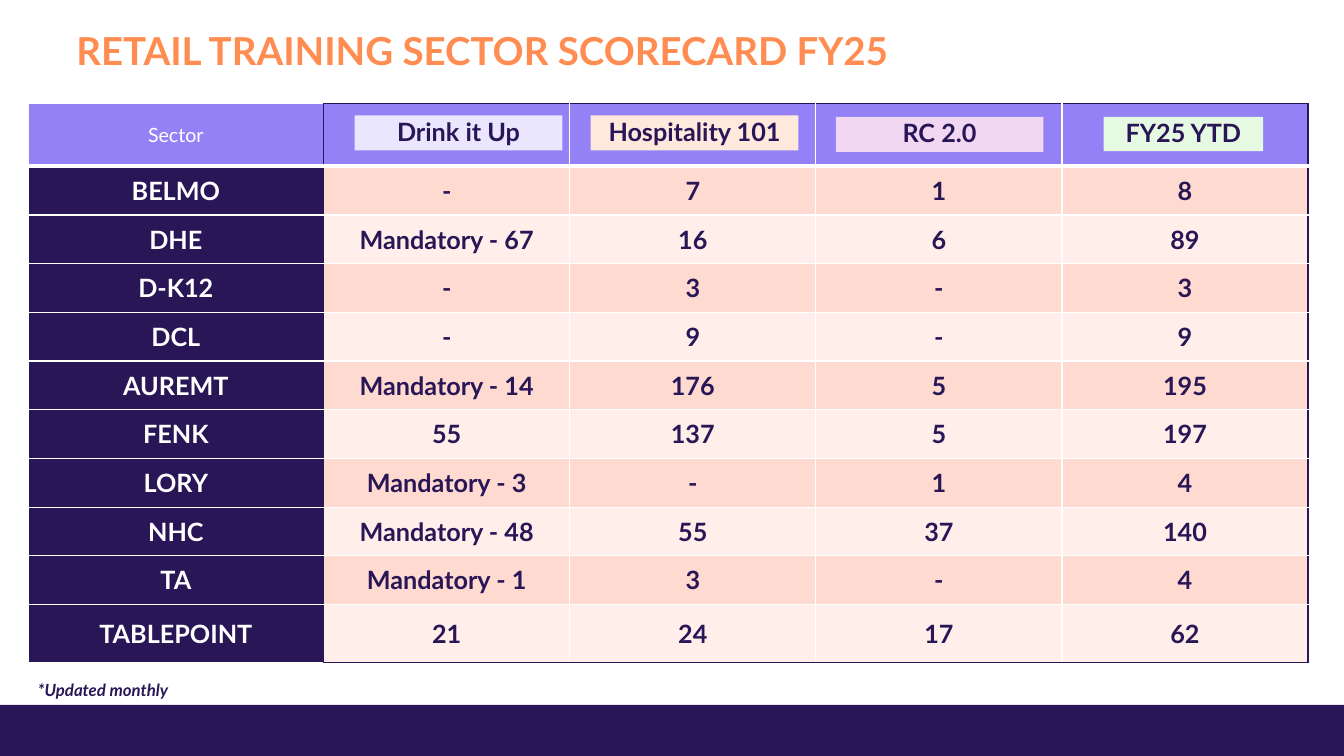
from lxml.etree import SubElement
from pptx import Presentation
from pptx.dml.color import RGBColor
from pptx.enum.shapes import MSO_SHAPE as Shape
from pptx.enum.text import MSO_ANCHOR as Anchor, PP_ALIGN as Align
from pptx.oxml.ns import qn
from pptx.util import Pt

TITLE = "RETAIL TRAINING SECTOR SCORECARD FY25"
FOOTNOTE = "*Updated monthly"
SECTOR_HEADER = "Sector"
SCORES = [
    ("BELMO", "-", "7", "1", "8"),
    ("DHE", "Mandatory - 67", "16", "6", "89"),
    ("D-K12", "-", "3", "-", "3"),
    ("DCL", "-", "9", "-", "9"),
    ("AUREMT", "Mandatory - 14", "176", "5", "195"),
    ("FENK", "55", "137", "5", "197"),
    ("LORY", "Mandatory - 3", "-", "1", "4"),
    ("NHC", "Mandatory - 48", "55", "37", "140"),
    ("TA", "Mandatory - 1", "3", "-", "4"),
    ("TABLEPOINT", "21", "24", "17", "62"),
]
# Label, fill, left, top, width, height
COURSE_LABELS = [
    ("Hospitality 101", "peach", 422, 82.5, 148.3, 25),
    ("Drink it Up", "lilac", 253.4, 82.5, 148.3, 25),
    ("RC 2.0", "orchid", 597, 83.5, 148.3, 25),
    ("FY25 YTD", "mint", 788.4, 83.5, 113.8, 24.5),
]
COLORS = {
    "navy": "281656", "white": "FFFFFF", "orange": "FF8C51", "violet": "9381F5",
    "band_dark": "FFDAD0", "band_light": "FFEEE9",
    "peach": "FFE8DC", "lilac": "E9E6FD", "orchid": "F1D7F2", "mint": "E6F9E2",
}
SLIDE_WIDTH, SLIDE_HEIGHT = 960, 540
FOOTER_TOP = 503.5
TABLE_LEFT, TABLE_TOP = 20, 74.2
COLUMN_WIDTHS = [211.2] + [175.8] * 4
ROW_HEIGHTS = [44.6] + [34.8] * 9 + [41.6]
LAST_ROW, LAST_COLUMN = len(ROW_HEIGHTS) - 1, len(COLUMN_WIDTHS) - 1


def rgb(name):
    return RGBColor.from_string(COLORS[name])


def write(frame, text, color, align=Align.CENTER, line_spacing=None, **font_values):
    paragraph = frame.paragraphs[0]
    paragraph.alignment = align
    paragraph.line_spacing = line_spacing
    run = paragraph.add_run()
    run.text = text
    run.font.color.rgb = rgb(color)
    for name, value in {"name": "Lato", "size": Pt(18), "bold": True, **font_values}.items():
        setattr(run.font, name, value)


def add_box(slide, fill, *bounds):
    box = slide.shapes.add_shape(Shape.RECTANGLE, *map(Pt, bounds))
    box.shadow.inherit = False
    box.fill.solid()
    box.fill.fore_color.rgb = rgb(fill)
    box.line.fill.background()
    return box


def add_text(slide, text, color, bounds, anchor, **format_values):
    frame = slide.shapes.add_textbox(*map(Pt, bounds)).text_frame
    frame.word_wrap = True
    frame.vertical_anchor = anchor
    write(frame, text, color, align=Align.LEFT, **format_values)


def add_borders(cell, row, column):
    """Frame the score area in navy and rule everything else in white."""
    in_scores = column > 0
    navy_sides = {
        "L": column == 1,
        "R": column in (0, LAST_COLUMN),
        "T": in_scores and row == 0,
        "B": in_scores and row == LAST_ROW,
    }
    properties = cell._tc.get_or_add_tcPr()
    for side, is_navy in navy_sides.items():
        width = 3 if side == "B" and row == 0 else 1
        line = SubElement(properties, qn(f"a:ln{side}"), w=str(Pt(width)))
        fill = SubElement(line, qn("a:solidFill"))
        SubElement(fill, qn("a:srgbClr"), val=COLORS["navy" if is_navy else "white"])


def cell_fill(row, column):
    if row == 0:
        return "violet"
    if column == 0:
        return "navy"
    return "band_dark" if row % 2 else "band_light"


def add_scorecard(slide):
    bounds = TABLE_LEFT, TABLE_TOP, sum(COLUMN_WIDTHS), sum(ROW_HEIGHTS)
    table = slide.shapes.add_table(
        len(ROW_HEIGHTS), len(COLUMN_WIDTHS), *map(Pt, bounds)).table
    table.horz_banding = False
    for column, width in zip(table.columns, COLUMN_WIDTHS):
        column.width = Pt(width)
    for row, height in zip(table.rows, ROW_HEIGHTS):
        row.height = Pt(height)

    header = (SECTOR_HEADER,) + ("",) * LAST_COLUMN
    for row, texts in enumerate([header] + SCORES):
        for column, text in enumerate(texts):
            cell = table.cell(row, column)
            add_borders(cell, row, column)
            cell.fill.solid()
            cell.fill.fore_color.rgb = rgb(cell_fill(row, column))
            cell.vertical_anchor = Anchor.MIDDLE
            if text:
                font_values = {} if row else {"size": Pt(14), "bold": False}
                write(cell.text_frame, text, "navy" if column else "white", **font_values)


def main():
    presentation = Presentation()
    presentation.slide_width = Pt(SLIDE_WIDTH)
    presentation.slide_height = Pt(SLIDE_HEIGHT)
    slide = presentation.slides.add_slide(presentation.slide_layouts[6])

    add_box(slide, "navy", 0, FOOTER_TOP, SLIDE_WIDTH, SLIDE_HEIGHT - FOOTER_TOP)
    add_text(slide, TITLE, "orange", (47.5, 20.2, 864, 34.6), Anchor.MIDDLE,
             line_spacing=0.9, size=Pt(27.5))
    add_scorecard(slide)
    for text, fill, *bounds in COURSE_LABELS:
        frame = add_box(slide, fill, *bounds).text_frame
        frame.vertical_anchor = Anchor.MIDDLE
        write(frame, text, "navy", line_spacing=0.9)
    add_text(slide, FOOTNOTE, "navy", (20, 481.7, 288, 21.8), Anchor.TOP,
             size=Pt(12), italic=True)

    presentation.save("out.pptx")


if __name__ == "__main__":
    main()
